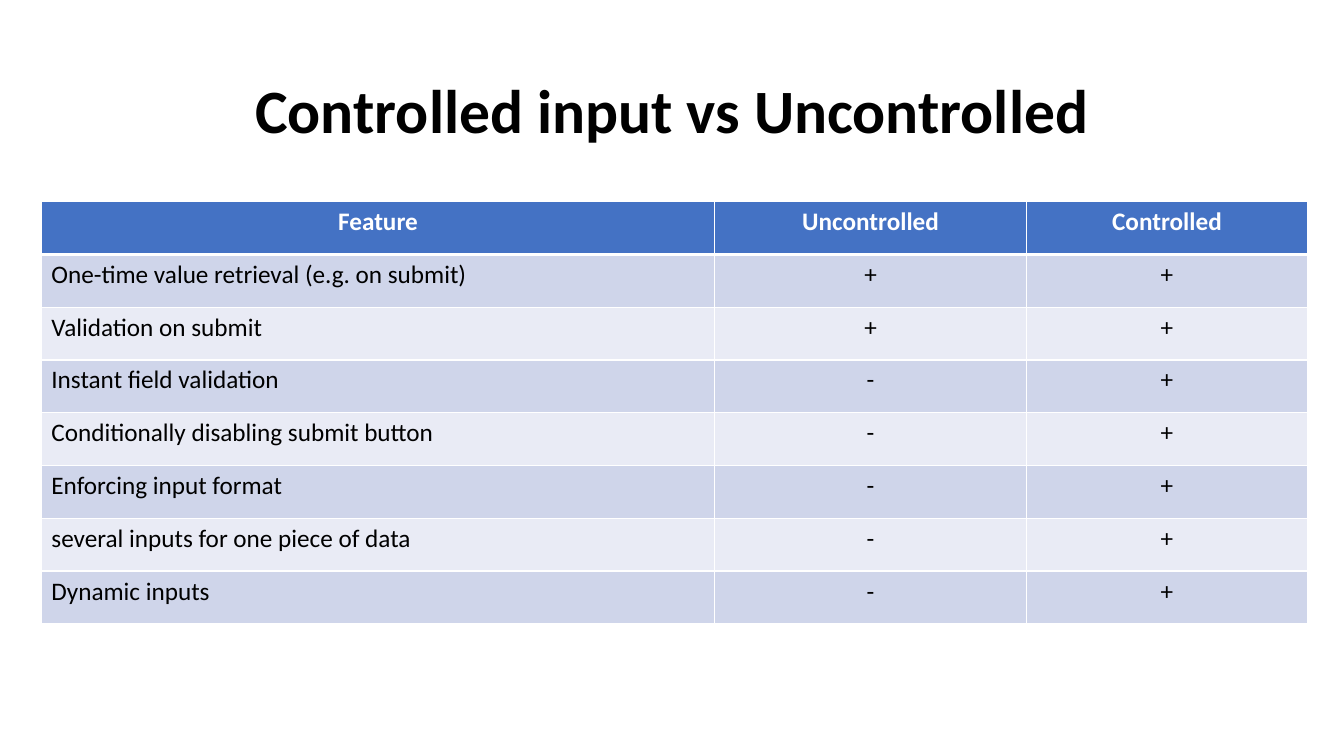
from dataclasses import dataclass

from lxml import etree
from pptx import Presentation
from pptx.dml.color import RGBColor
from pptx.enum.text import MSO_ANCHOR, PP_ALIGN
from pptx.oxml.ns import qn
from pptx.util import Inches, Pt

LEFT, CENTER = PP_ALIGN.LEFT, PP_ALIGN.CENTER
MIDDLE = MSO_ANCHOR.MIDDLE
TITLE_ONLY = 5


@dataclass(frozen=True)
class Theme:
    font: str = "Calibri"
    ink: str = "000000"
    white: str = "FFFFFF"
    head: str = "4472C4"
    bands: tuple = ("CFD5EA", "E9EBF5")
    title_size: int = 44
    body_size: int = 18
    thin: int = 1
    thick: int = 3


class Deck:
    def __init__(self, theme):
        self.theme = theme
        self.file = Presentation()
        self.file.slide_width = Inches(13.33)
        self.file.slide_height = Inches(7.5)
        self.slide = self.file.slides.add_slide(self.file.slide_layouts[TITLE_ONLY])

    def label(self, frame, text, size, color, bold, align):
        frame.text = text
        para = frame.paragraphs[0]
        para.alignment = align
        font = para.font
        font.name, font.size, font.bold = self.theme.font, Pt(size), bold
        font.color.rgb = RGBColor.from_string(color)
        return para

    def title(self, text, left, top, width, height):
        box = self.slide.shapes.title
        box.left, box.top = Inches(left), Inches(top)
        box.width, box.height = Inches(width), Inches(height)
        box.text_frame.vertical_anchor = MIDDLE
        para = self.label(box.text_frame, text, self.theme.title_size,
                          self.theme.ink, True, CENTER)
        para.line_spacing = 0.9

    def border(self, cell, side, width):
        props = cell._tc.get_or_add_tcPr()
        line = etree.SubElement(props, qn(f"a:ln{side}"), w=str(Pt(width)))
        fill = etree.SubElement(line, qn("a:solidFill"))
        etree.SubElement(fill, qn("a:srgbClr"), val=self.theme.white)

    def cell(self, cell, text, row, col):
        theme = self.theme
        head = row == 0
        widths = {"L": theme.thin, "R": theme.thin,
                  "T": theme.thick if row == 1 else theme.thin,
                  "B": theme.thick if head else theme.thin}
        for side, width in widths.items():
            self.border(cell, side, width)
        color = theme.head if head else theme.bands[(row - 1) % 2]
        cell.fill.solid()
        cell.fill.fore_color.rgb = RGBColor.from_string(color)
        self.label(cell.text_frame, text, theme.body_size,
                   theme.white if head else theme.ink, head,
                   CENTER if head or col else LEFT)

    def table(self, rows, left, top, widths, height):
        grid = self.slide.shapes.add_table(
            len(rows), len(widths), Inches(left), Inches(top),
            Inches(sum(widths)), Inches(height)).table
        for col, width in enumerate(widths):
            grid.columns[col].width = Inches(width)
        for row, texts in enumerate(rows):
            for col, text in enumerate(texts):
                self.cell(grid.cell(row, col), text, row, col)


def main():
    deck = Deck(Theme())

    # Title
    deck.title("Controlled input vs Uncontrolled", 0.92, 0.4, 11.5, 1.45)

    # Feature table
    rows = [
        ("Feature", "Uncontrolled", "Controlled"),
        ("One-time value retrieval (e.g. on submit)", "+", "+"),
        ("Validation on submit", "+", "+"),
        ("Instant field validation", "-", "+"),
        ("Conditionally disabling submit button", "-", "+"),
        ("Enforcing input format", "-", "+"),
        ("several inputs for one piece of data", "-", "+"),
        ("Dynamic inputs", "-", "+"),
    ]
    deck.table(rows, 0.41, 2, (6.68, 3.09, 2.79), 4.19)

    deck.file.save("out.pptx")


if __name__ == "__main__":
    main()
